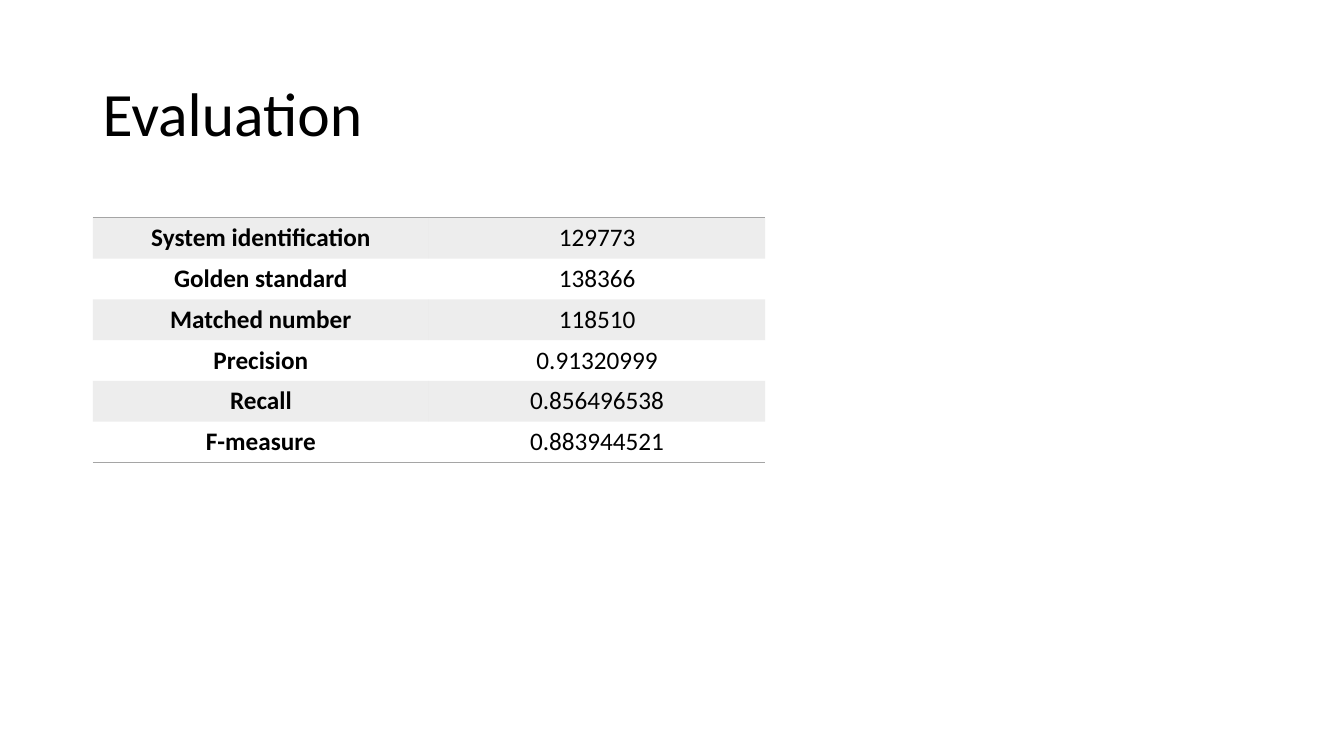
from lxml.etree import SubElement
from pptx import Presentation
from pptx.dml.color import RGBColor
from pptx.enum.text import MSO_ANCHOR, PP_ALIGN
from pptx.oxml import parse_xml
from pptx.oxml.ns import nsdecls, qn
from pptx.util import Inches, Pt


def color(code):
    return RGBColor.from_string(code)


def write(frame, text, size=18, bold=False, align=PP_ALIGN.LEFT, spacing=1.0):
    para = frame.paragraphs[0]
    para.alignment = align
    para.line_spacing = spacing
    span = para.add_run()
    span.text = text
    span.font.name = "Calibri"
    span.font.size = Pt(size)
    span.font.bold = bold
    span.font.color.rgb = color("000000")


deck = Presentation()
deck.slide_width = Inches(13.33)
deck.slide_height = Inches(7.5)
page = deck.slides.add_slide(deck.slide_layouts[6])

title = page.shapes.add_textbox(Inches(0.92), Inches(0.43), Inches(11.5), Inches(1.45))
title.text_frame.word_wrap = True
title.text_frame.vertical_anchor = MSO_ANCHOR.MIDDLE
write(title.text_frame, "Evaluation", size=44, spacing=0.9)

results = [
    ("System identification", "129773"),
    ("Golden standard", "138366"),
    ("Matched number", "118510"),
    ("Precision", "0.91320999"),
    ("Recall", "0.856496538"),
    ("F-measure", "0.883944521"),
]
table = page.shapes.add_table(
    len(results), 2, Inches(0.92), Inches(2.16), Inches(6.67), Inches(2.43)
).table
table.first_row = False
table.horz_banding = False
NO_STYLE_NO_GRID = "{2D5ABB26-0587-4C30-8999-92F81FD0307C}"
table._tbl.tblPr.find(qn("a:tableStyleId")).text = NO_STYLE_NO_GRID

edges = {0: "lnT", len(results) - 1: "lnB"}
for row, values in enumerate(results):
    for column, value in enumerate(values):
        cell = table.cell(row, column)
        write(cell.text_frame, value, bold=column == 0, align=PP_ALIGN.CENTER)
        if row % 2 == 0:
            cell.fill.solid()
            cell.fill.fore_color.rgb = color("A5A5A5")
            shade = cell._tc.tcPr.find(".//" + qn("a:srgbClr"))
            SubElement(shade, qn("a:alpha"), val="20000")
        else:
            cell.fill.background()
        if row in edges:
            border = parse_xml(
                f'<a:{edges[row]} {nsdecls("a")} w="{Pt(1)}"><a:solidFill>'
                f'<a:srgbClr val="A5A5A5"/></a:solidFill></a:{edges[row]}>'
            )
            cell._tc.tcPr.insert(0, border)

deck.save("out.pptx")
